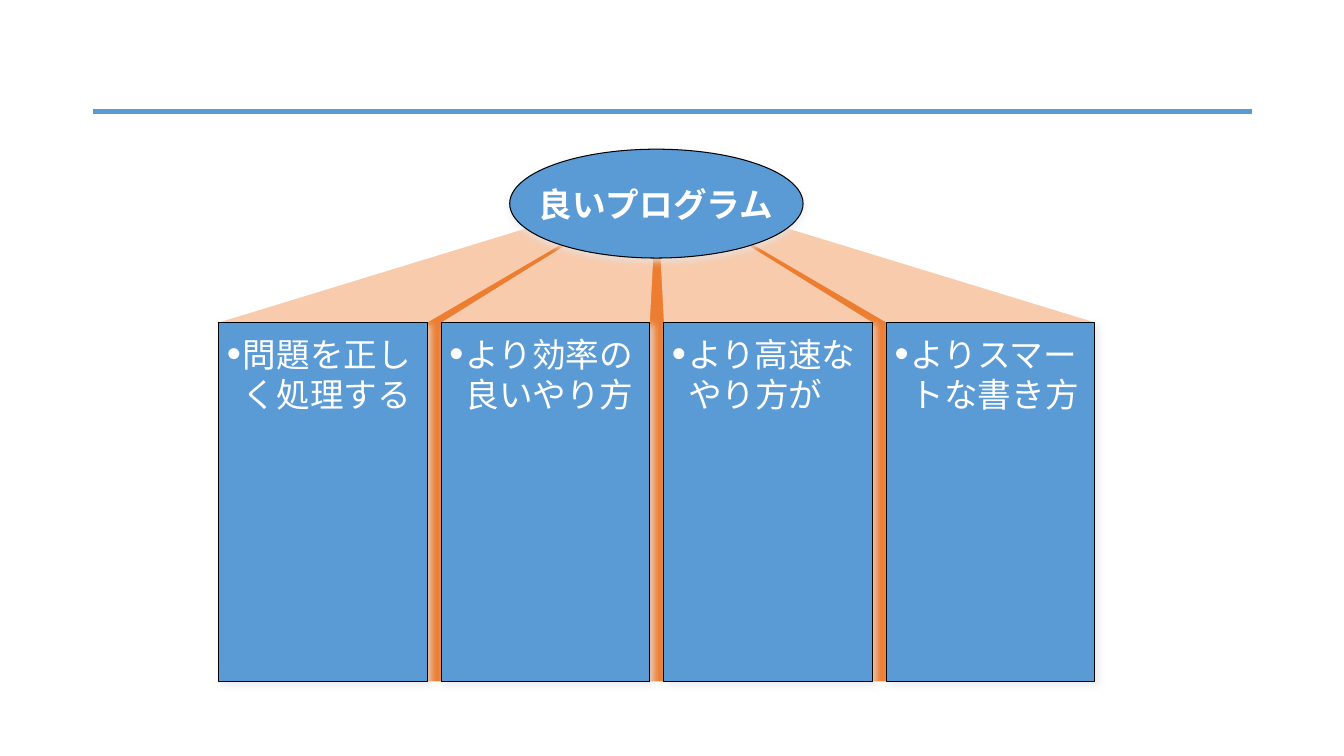
from dataclasses import dataclass
from lxml.etree import SubElement
from pptx import Presentation
from pptx.dml.color import RGBColor as Rgb
from pptx.enum.shapes import MSO_CONNECTOR as Link, MSO_SHAPE as Kind
from pptx.enum.text import MSO_ANCHOR as Anchor, MSO_AUTO_SIZE as Fit, PP_ALIGN as Align
from pptx.oxml.ns import qn
from pptx.util import Inches, Pt


@dataclass
class Theme:
    blue: str = "5B9BD5"
    orange: str = "ED7D31"
    peach: str = "F8CBAD"
    black: str = "000000"
    white: str = "FFFFFF"
    shade: str = "E7E6E6"
    font: str = "Noto Sans CJK JP"
    size: float = 24
    lead: float = 28.8
    edge: float = 0.75
    rule: float = 3.75


theme = Theme()
goals = ["問題を正しく処理する", "より効率の良いやり方", "より高速なやり方が", "よりスマートな書き方"]


def paint(shape, color):
    shape.shadow.inherit = False
    shape.fill.solid()
    shape.fill.fore_color.rgb = Rgb.from_string(color)
    shape.line.fill.background()


def block(slide, kind, box, dist, angle):
    shape = slide.shapes.add_shape(kind, *map(Inches, box))
    paint(shape, theme.blue)
    shape.line.color.rgb = Rgb.from_string(theme.black)
    shape.line.width = Pt(theme.edge)
    glow = shape._element.spPr.find(qn("a:effectLst"))
    drop = SubElement(glow, qn("a:outerShdw"), blurRad=str(Pt(5)), dist=str(Pt(dist)),
                      dir=str(angle * 60000), algn="ctr", rotWithShape="0")
    tone = SubElement(drop, qn("a:srgbClr"), val=theme.shade)
    SubElement(tone, qn("a:alpha"), val="75000")


def label(slide, holder, box, text, anchor, align, fit, bold):
    holder.left, holder.top, holder.width, holder.height = map(Inches, box)
    slide.shapes._spTree.append(holder._element)
    frame = holder.text_frame
    frame.text = text
    frame.word_wrap = True
    frame.auto_size = fit
    frame.vertical_anchor = anchor
    frame.margin_left = frame.margin_right = frame.margin_top = frame.margin_bottom = 0
    para = frame.paragraphs[0]
    para.alignment = align
    para.line_spacing = Pt(theme.lead)
    para.space_before = para.space_after = Pt(0)
    run = para.runs[0]
    run.font.size = Pt(theme.size)
    run.font.bold = bold
    run.font.color.rgb = Rgb.from_string(theme.white)
    run.font.name = theme.font
    SubElement(run._r.get_or_add_rPr(), qn("a:ea"), typeface=theme.font)
    return para


def outline(slide, parts, color):
    pen = None
    for part in parts:
        spots = [(Inches(x), Inches(y)) for x, y in part]
        if pen is None:
            pen = slide.shapes.build_freeform(*spots[0], scale=1.0)
        else:
            pen.move_to(*spots[0])
        pen.add_line_segments(spots[1:], close=True)
    paint(pen.convert_to_shape(), color)


def divide(slide, left, top, width):
    rule = slide.shapes.add_connector(
        Link.STRAIGHT, Inches(left), Inches(top), Inches(left + width), Inches(top))
    rule.line.color.rgb = Rgb.from_string(theme.blue)
    rule.line.width = Pt(theme.rule)
    SubElement(rule._element.spPr, qn("a:effectLst"))


def column(slide, holder, box, text):
    left, top, width, height = box
    block(slide, Kind.RECTANGLE, box, 3, 45)
    para = label(slide, holder, (left + 0.08, top + 0.11, width - 0.17, 0.81), text,
                 Anchor.TOP, Align.LEFT, Fit.SHAPE_TO_FIT_TEXT, False)
    props = para._p.get_or_add_pPr()
    props.set("marL", str(Inches(0.16)))
    props.set("indent", str(-Inches(0.16)))
    SubElement(props, qn("a:buSzPct"), val="120000")
    SubElement(props, qn("a:buFont"), typeface="Arial")
    SubElement(props, qn("a:buChar"), char="•")


def head(slide, holder, box):
    left, top, width, height = box
    block(slide, Kind.OVAL, box, 2.1, 90)
    label(slide, holder, (left + 0.12, top + 0.05, width - 0.25, height - 0.09),
          "良いプログラム", Anchor.MIDDLE, Align.CENTER, Fit.NONE, True)


def diagram(slide, box):
    left, top, width, height = box
    title, *lists = list(slide.placeholders)[:len(goals) + 1]
    gap = 0.14
    wide = (width - gap * (len(goals) - 1)) / len(goals)
    edges = [left + i * (wide + gap) for i in range(len(goals))]
    mid, base, low = left + width / 2, top + 1.72, top + height
    inset = wide - 0.1
    outline(slide, [[(left + inset, low), (left + width - inset, low),
                     (left + width - inset, base), (mid, top + 0.37),
                     (left + inset, base)]], theme.orange)
    outline(slide, [[(x, base), (mid, top + 0.39), (x + wide, base)] for x in edges],
            theme.peach)
    for x, holder, text in zip(edges, lists, goals):
        column(slide, holder, (x, base, wide, low - base), text)
    head(slide, title, (mid - 1.46, top, 2.91, 1.08))


deck = Presentation()
deck.slide_width, deck.slide_height = Inches(13.33), Inches(7.5)
page = deck.slides.add_slide(deck.slide_layouts[4])
divide(page, 0.92, 1.11, 11.5)
diagram(page, (2.17, 1.48, 8.69, 5.28))
deck.save("out.pptx")
